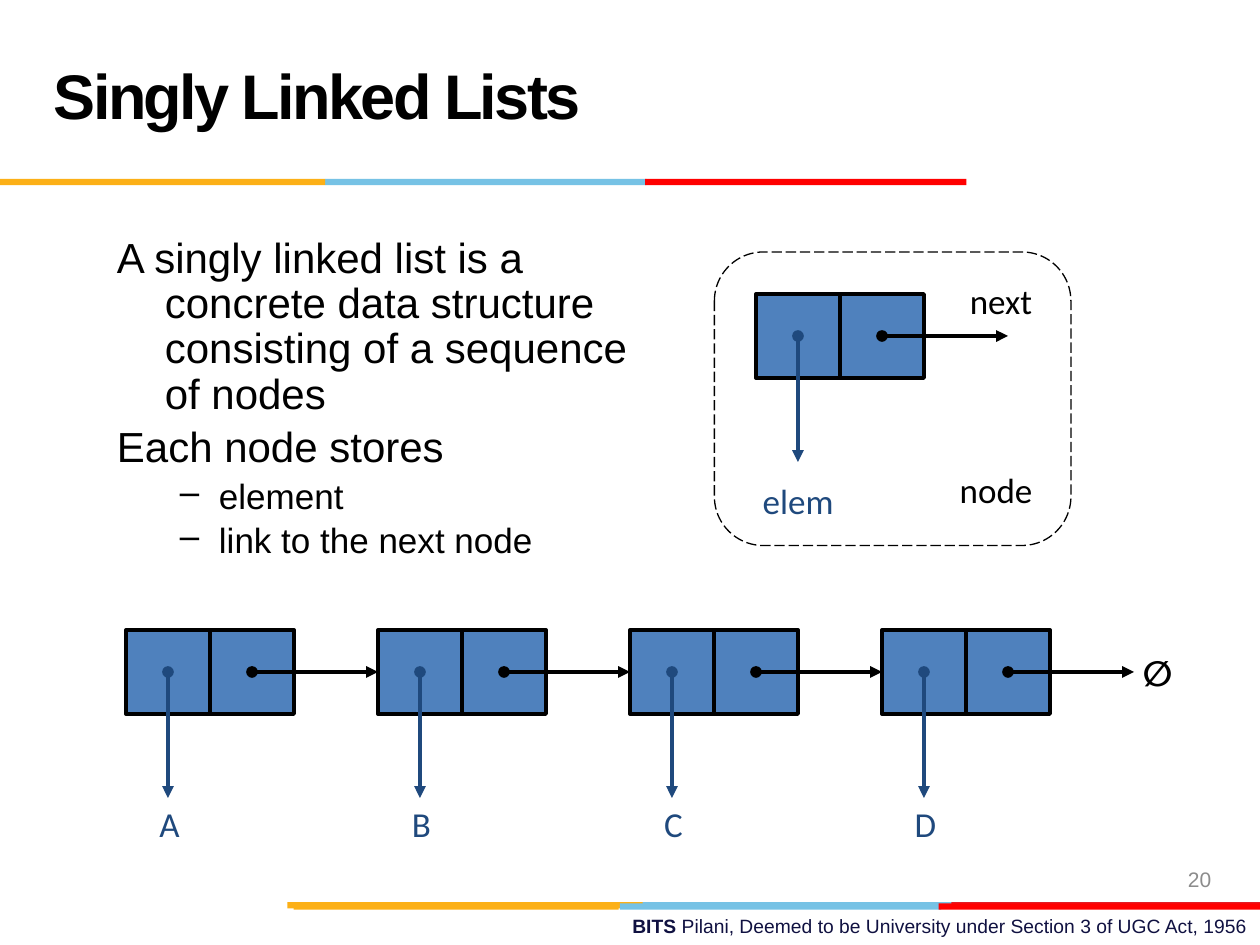
import pptx
import pptx.dml.color
import pptx.enum.dml
import pptx.enum.shapes
import pptx.enum.text
import pptx.oxml.ns
import pptx.util
from lxml import etree

Inches = pptx.util.Inches
RGBColor = pptx.dml.color.RGBColor
SHAPES = pptx.enum.shapes.MSO_SHAPE
ALIGN = pptx.enum.text.PP_ALIGN
ANCHOR = pptx.enum.text.MSO_ANCHOR
qn = pptx.oxml.ns.qn

BLACK = RGBColor(0x00, 0x00, 0x00)
NAVY = RGBColor(0x1F, 0x49, 0x7D)
CELL_BLUE = RGBColor(0x4F, 0x81, 0xBD)
FOOTER_INK = RGBColor(0x10, 0x11, 0x41)
GREY = RGBColor(0x8C, 0x8C, 0x8C)
AMBER = RGBColor(0xFC, 0xB0, 0x17)
SKY = RGBColor(0x76, 0xC2, 0xE5)
RED = RGBColor(0xFF, 0x00, 0x00)
DARK_RED = RGBColor(0xE3, 0x1C, 0x24)

CELL = 2 / 3
ARROW = 1
NODE_PITCH = 2
LIST_TOP = 5
LABEL_HEIGHT = 0.43

TITLE_FONT = {"name": "Arial", "size": pptx.util.Pt(36), "bold": True}
BODY_FONT = {"name": "Arial", "size": pptx.util.Pt(24)}
SUB_FONT = {"name": "Arial", "size": pptx.util.Pt(20)}
FOOTER_FONT = {"name": "Arial", "size": pptx.util.Pt(11)}
NUMBER_FONT = {"name": "Arial", "size": pptx.util.Pt(12)}
LABEL_FONT = {"name": "Calibri", "size": pptx.util.Pt(20)}


def set_all(target, values):
    for key, value in values.items():
        setattr(target, key, value)


def add_run(paragraph, text, font, color, **extra):
    run = paragraph.add_run()
    run.text = text
    set_all(run.font, {**font, **extra})
    run.font.color.rgb = color
    return run


def add_text_box(slide, left, top, width, height, **frame_values):
    box = slide.shapes.add_textbox(Inches(left), Inches(top), Inches(width), Inches(height))
    set_all(box.text_frame, {"word_wrap": True, **frame_values})
    return box.text_frame


def add_label(slide, text, left, top, width, color=BLACK, **extra):
    frame = add_text_box(slide, left, top, width, LABEL_HEIGHT, word_wrap=False,
                         auto_size=pptx.enum.text.MSO_AUTO_SIZE.SHAPE_TO_FIT_TEXT)
    frame.paragraphs[0].alignment = ALIGN.CENTER
    add_run(frame.paragraphs[0], text, LABEL_FONT, color, **extra)


def add_outline(slide, kind, left, top, width, height, line_width):
    shape = slide.shapes.add_shape(kind, Inches(left), Inches(top), Inches(width), Inches(height))
    shape.shadow.inherit = False
    shape.line.color.rgb = BLACK
    shape.line.width = pptx.util.Pt(line_width)
    return shape


def add_stripes(slide, top, stripes):
    for left, width, color in stripes:
        stripe = slide.shapes.add_shape(SHAPES.RECTANGLE, Inches(left), Inches(top),
                                        Inches(width), Inches(0.05))
        stripe.shadow.inherit = False
        stripe.fill.solid()
        stripe.fill.fore_color.rgb = color
        stripe.line.fill.background()


def add_node(slide, left, top):
    """Draw the element cell and the link cell; return the element cell."""
    cells = []
    for column in range(2):
        cell = add_outline(slide, SHAPES.RECTANGLE, left + column * CELL, top, CELL, CELL, 2.25)
        cell.fill.solid()
        cell.fill.fore_color.rgb = CELL_BLUE
        cells.append(cell)
    return cells[0]


def add_pointer(slide, x, y, dx, dy, color):
    """Draw an arrow that starts with a dot."""
    pointer = slide.shapes.add_connector(pptx.enum.shapes.MSO_CONNECTOR.STRAIGHT,
                                         Inches(x), Inches(y), Inches(x + dx), Inches(y + dy))
    pointer.line.color.rgb = color
    pointer.line.width = pptx.util.Pt(2.25)
    line = pointer.line._get_or_add_ln()
    etree.SubElement(line, qn("a:headEnd"), type="oval")
    etree.SubElement(line, qn("a:tailEnd"), type="triangle")
    etree.SubElement(pointer._element.spPr, qn("a:effectLst"))
    return pointer


def add_node_pointers(slide, left, top):
    """Draw both pointers of a node; return the one to the next node."""
    middle = top + CELL / 2
    add_pointer(slide, left + CELL / 2, middle, 0, ARROW, NAVY)
    return add_pointer(slide, left + 1.5 * CELL, middle, ARROW, 0, BLACK)


def add_title(slide):
    frame = add_text_box(slide, 0.33, 0.17, 6.92, 1.25, vertical_anchor=ANCHOR.MIDDLE)
    paragraph = frame.paragraphs[0]
    paragraph.line_spacing = pptx.util.Pt(36)
    run = add_run(paragraph, "Singly Linked Lists", TITLE_FONT, BLACK)
    run.font._element.set("spc", "-150")


def add_body(slide):
    frame = add_text_box(slide, 0.83, 1.83, 4.5, 2.75)
    lines = [
        ("A singly linked list is a concrete data structure consisting of a sequence of nodes", 0),
        ("Each node stores", 0),
        ("element", 1),
        ("link to the next node", 1),
    ]
    for index, (text, level) in enumerate(lines):
        paragraph = frame.add_paragraph() if index else frame.paragraphs[0]
        margin, indent, font = [(0.38, -0.38, BODY_FONT), (0.81, -0.31, SUB_FONT)][level]
        properties = paragraph._p.get_or_add_pPr()
        properties.set("marL", str(Inches(margin)))
        properties.set("indent", str(Inches(indent)))
        if level:
            etree.SubElement(properties, qn("a:buChar"), char="–")
        set_all(paragraph, {"level": level, "line_spacing": 0.9})
        if index:
            paragraph.space_before = int(font["size"] * 0.2)
        add_run(paragraph, text, font, BLACK)


def add_node_legend(slide):
    left, top = 6, 7 / 3
    add_node(slide, left, top)
    add_label(slide, "next", 7.58, 2.17, 0.73)
    add_label(slide, "elem", 5.94, 3.76, 0.79, NAVY)
    add_label(slide, "node", 7.5, 3.67, 0.81)
    frame = add_outline(slide, SHAPES.ROUNDED_RECTANGLE, 5.67, 2, 2.83, 2.33, 0.75)
    frame.adjustments[0] = 0.167
    frame.fill.background()
    frame.line.dash_style = pptx.enum.dml.MSO_LINE.LONG_DASH
    add_node_pointers(slide, left, top)


def add_linked_list(slide):
    elements = "ABCD"
    lefts = [1 + NODE_PITCH * index for index in range(len(elements))]
    nodes = [add_node(slide, left, LIST_TOP) for left in lefts]
    for element, left, following in zip(elements, lefts, nodes[1:] + [None]):
        link = add_node_pointers(slide, left, LIST_TOP)
        if following is not None:
            link.end_connect(following, 1)
        add_label(slide, element, left + 0.16, 6.32, 0.37, NAVY)
    add_label(slide, "∅", 8.97, 5.12, 0.43, bold=True)


def add_footer(slide):
    footer = add_text_box(slide, 3.58, 7.21, 6.42, 0.29).paragraphs[0]
    footer.alignment = ALIGN.RIGHT
    add_run(footer, "BITS ", FOOTER_FONT, FOOTER_INK, bold=True)
    add_run(footer, "Pilani, Deemed to be University under Section 3 of UGC Act, 1956",
            FOOTER_FONT, FOOTER_INK)
    number = add_text_box(slide, 9.33, 6.82, 0.67, 0.32, vertical_anchor=ANCHOR.MIDDLE)
    add_run(number.paragraphs[0], "20", NUMBER_FONT, GREY)


def main():
    deck = pptx.Presentation()
    deck.slide_width, deck.slide_height = Inches(10), Inches(7.5)
    slide = deck.slides.add_slide(deck.slide_layouts[6])
    add_stripes(slide, 7.16, [(5.06, 2.55, SKY), (7.55, 2.45, DARK_RED), (2.28, 2.82, AMBER)])
    add_stripes(slide, 7.17, [(4.92, 2.55, SKY), (2.33, 2.58, AMBER), (7.45, 2.55, RED)])
    add_stripes(slide, 1.42, [(2.58, 2.55, SKY), (0, 2.58, AMBER), (5.12, 2.55, RED)])
    add_footer(slide)
    add_title(slide)
    add_body(slide)
    add_node_legend(slide)
    add_linked_list(slide)
    deck.save("out.pptx")


if __name__ == "__main__":
    main()
